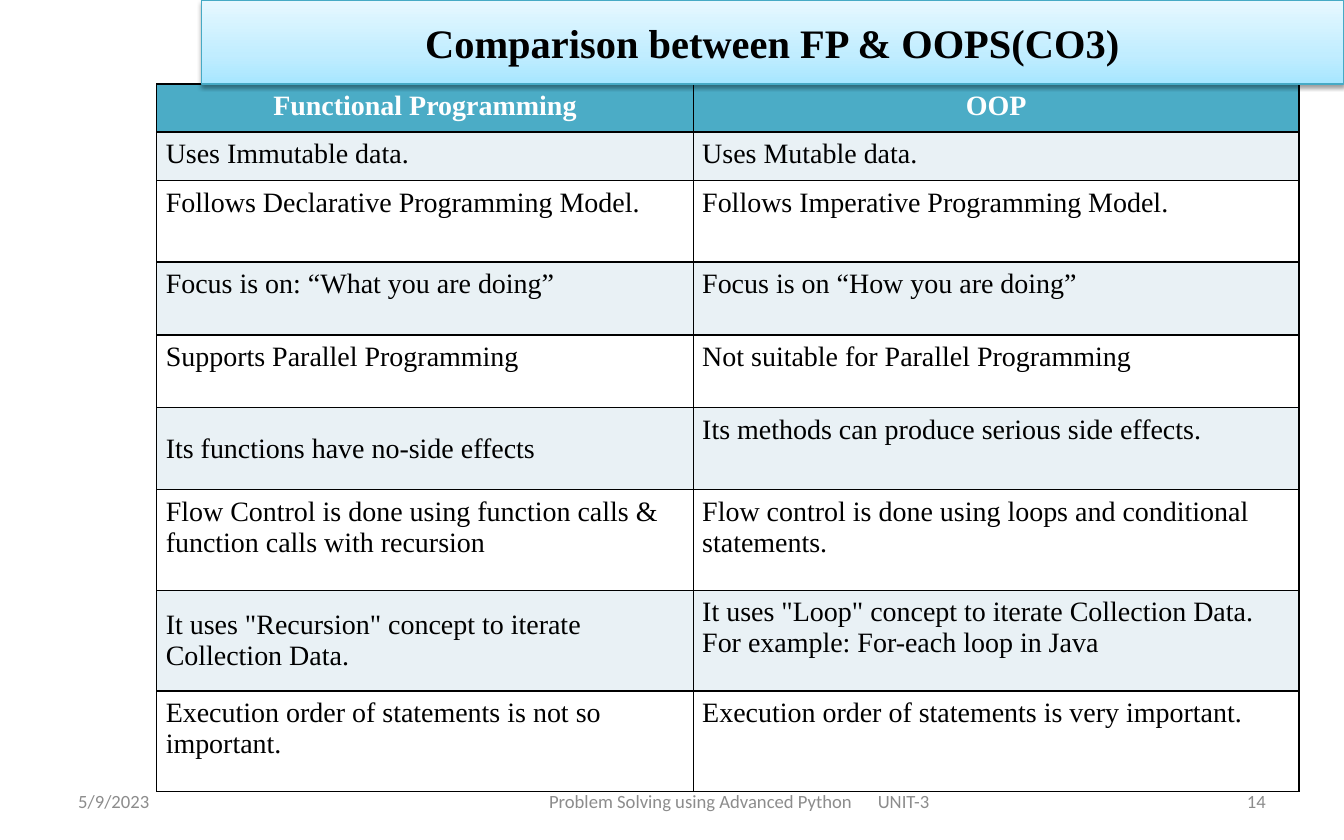
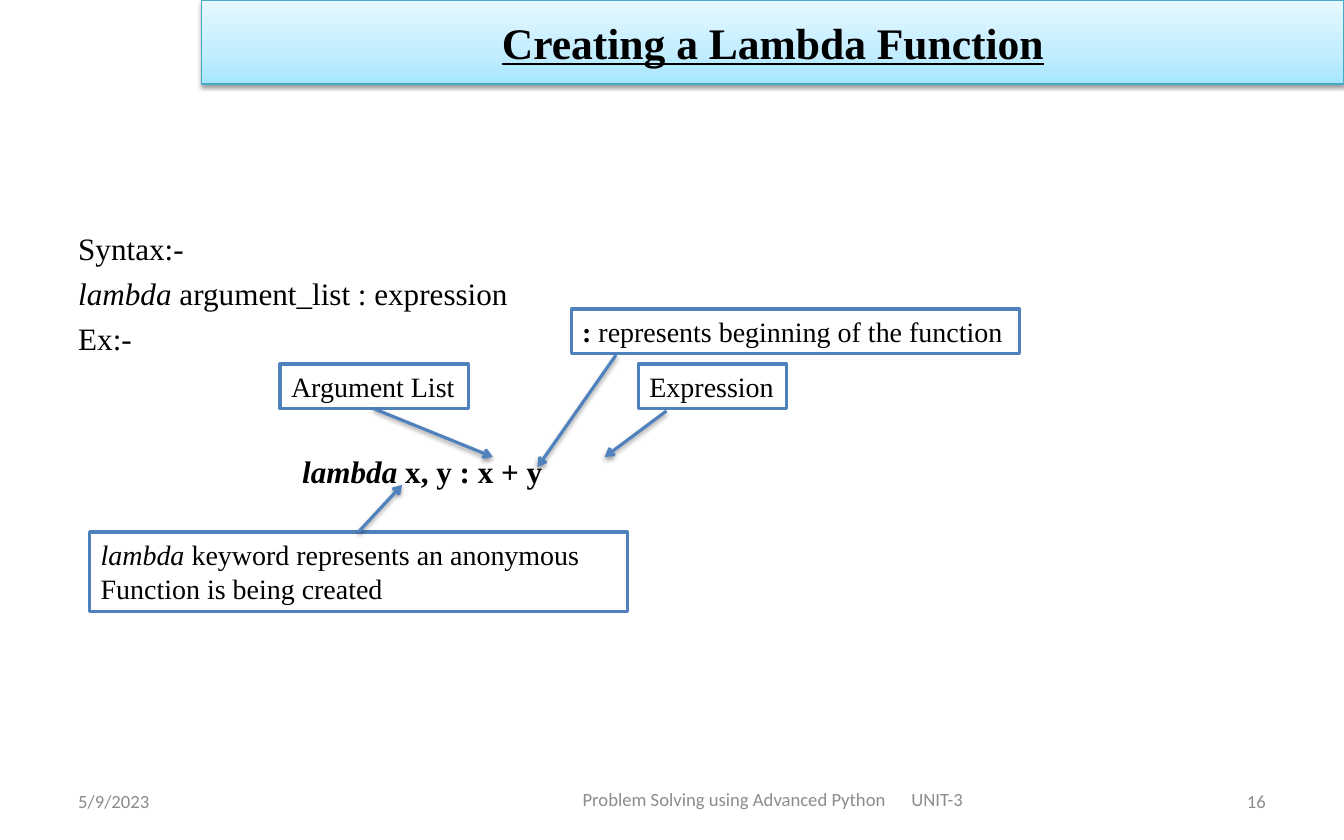
"""Build two slides on functional programming: a comparison table and a lambda diagram."""
from dataclasses import dataclass

from lxml import etree
from pptx import Presentation
from pptx.dml.color import RGBColor
from pptx.enum.shapes import MSO_CONNECTOR, MSO_SHAPE
from pptx.enum.text import MSO_ANCHOR, PP_ALIGN
from pptx.oxml.ns import qn
from pptx.util import Inches, Pt

RECT, STRAIGHT = MSO_SHAPE.RECTANGLE, MSO_CONNECTOR.STRAIGHT
TOP, MIDDLE = MSO_ANCHOR.TOP, MSO_ANCHOR.MIDDLE
LEFT, CENTER, RIGHT = PP_ALIGN.LEFT, PP_ALIGN.CENTER, PP_ALIGN.RIGHT


@dataclass(frozen=True)
class Theme:
    """Colours, fonts and sizes shared by the slides."""
    serif: str = "Times New Roman"
    sans: str = "Calibri"
    ink: str = "000000"
    paper: str = "FFFFFF"
    header: str = "4BACC6"
    stripe: str = "E9F1F5"
    accent: str = "4F81BD"
    muted: str = "8C8C8C"
    band_line: str = "46AAC5"
    band_stops: tuple = ((0, "A7E6FF"), (35, "C1EDFF"), (100, "E7F8FF"))
    body_size: int = 20
    label_size: int = 18
    foot_size: int = 12
    line_gap: int = 5


T = Theme()
WIDTH, HEIGHT = 12, 7.5
MARGIN = 0.05 * WIDTH
BAND = (0.15 * WIDTH, 0, 0.85 * WIDTH, 0.1 * HEIGHT)

DATE = "5/9/2023"
COURSE, UNIT = "Problem Solving using Advanced Python", "UNIT-3"
UNIT_GAP = 13.6

COMPARISON = [
    ("Functional Programming", "OOP"),
    ("Uses Immutable data.", "Uses Mutable data."),
    ("Follows Declarative Programming Model.", "Follows Imperative Programming Model."),
    ("Focus is on: “What you are doing”", "Focus is on “How you are doing”"),
    ("Supports Parallel Programming", "Not suitable for Parallel Programming"),
    ("Its functions have no-side effects", "Its methods can produce serious side effects."),
    ("Flow Control is done using function calls & function calls with recursion",
     "Flow control is done using loops and conditional statements."),
    ('It uses "Recursion" concept to iterate Collection Data.',
     'It uses "Loop" concept to iterate Collection Data. For example: For-each loop in Java'),
    ("Execution order of statements is not so important.",
     "Execution order of statements is very important."),
]
COLUMNS = (4.79, 5.41)
ROWS = (0.43, 0.43, 0.73, 0.65, 0.65, 0.73, 0.9, 0.9, 0.9)
CENTRED_CELLS = {(5, 0), (7, 0)}

SYNTAX = [
    [("Syntax:-", "")],
    [("lambda", "i"), (" argument_list : expression", "")],
    [("Ex:-", "")],
    [("lambda", "bi"), (" x, y : x + y", "b")],
]
EXAMPLE_INDENT, EXAMPLE_GAP = 2, 61

CALLOUTS = [
    {"box": (0.8, 4.75, 4.8, 0.71), "arrow": (3.2, 4.75, 3.59, 4.33), "wrap": True,
     "runs": [("lambda", "i"),
              (" keyword represents an anonymous Function is being created", "")]},
    {"box": (2.5, 3.25, 1.68, 0.4), "arrow": (3.34, 3.65, 4.4, 4.08), "wrap": False,
     "runs": [("Argument List", "")]},
    {"box": (5.1, 2.76, 4, 0.4), "arrow": (5.5, 3.17, 4.8, 4.17), "wrap": False,
     "runs": [(":", "b"), (" represents beginning of the function", "")]},
    {"box": (5.7, 3.25, 1.32, 0.4), "arrow": (5.95, 3.67, 5.4, 4.08), "wrap": False,
     "runs": [("Expression", "")]},
]


def rgb(color):
    return RGBColor.from_string(color)


def inches(lengths):
    return [Inches(v) for v in lengths]


def sub(parent, tag, **attrs):
    return etree.SubElement(parent, qn(tag), {k: str(v) for k, v in attrs.items()})


def solid(parent, color):
    return sub(sub(parent, "a:solidFill"), "a:srgbClr", val=color)


def add_shadow(effects):
    shadow = sub(effects, "a:outerShdw", blurRad=Pt(3.1), dist=Pt(1.6),
                 dir=90 * 60000, rotWithShape=0)
    sub(sub(shadow, "a:srgbClr", val=T.ink), "a:alpha", val=38000)


def write(p, runs, size, font=T.serif, color=T.ink, align=LEFT):
    """Fill a paragraph with (text, style) runs; styles are b, i and u."""
    p.alignment = align
    p.font.name, p.font.size = font, Pt(size)
    p.font.color.rgb = rgb(color)
    for text, style in runs:
        r = p.add_run()
        r.text = text
        r.font.name, r.font.size = font, Pt(size)
        r.font.color.rgb = rgb(color)
        r.font.bold, r.font.italic, r.font.underline = (c in style for c in "biu")


def add_text(slide, box, anchor=MIDDLE):
    tf = slide.shapes.add_textbox(*inches(box)).text_frame
    tf.word_wrap, tf.vertical_anchor = True, anchor
    return tf


def add_rect(slide, box, line, width):
    s = slide.shapes.add_shape(RECT, *inches(box))
    s.shadow.inherit = False
    s.line.color.rgb, s.line.width = rgb(line), Pt(width)
    return s


def add_band(slide, title, style, size):
    s = add_rect(slide, BAND, T.band_line, 0.75)
    s.fill.gradient()
    s.fill.gradient_angle = 90
    props = s.element.spPr
    stops = props.find(".//" + qn("a:gsLst"))
    for stop in list(stops):
        stops.remove(stop)
    for pos, color in T.band_stops:
        sub(sub(stops, "a:gs", pos=pos * 1000), "a:srgbClr", val=color)
    add_shadow(props.find(qn("a:effectLst")))
    s.text_frame.vertical_anchor = MIDDLE
    write(s.text_frame.paragraphs[0], [(title, style)], size, align=CENTER)


def add_footer(slide, number, course_box):
    side, top, height = 2.8, 6.95, 0.4
    parts = [
        ((MARGIN, top, side, height), [(DATE, "")], LEFT),
        (course_box, [(COURSE, ""), (" ", ""), (UNIT, "")], CENTER),
        ((WIDTH - MARGIN - side, top, side, height), [(str(number), "")], RIGHT),
    ]
    for box, runs, align in parts:
        p = add_text(slide, box).paragraphs[0]
        write(p, runs, T.foot_size, T.sans, T.muted, align)
        if len(runs) == 3:
            p.runs[1].font._element.set("spc", str(int(UNIT_GAP * 100)))


def add_comparison(slide):
    box = (1.4, BAND[3], sum(COLUMNS), sum(ROWS))
    table = slide.shapes.add_table(len(ROWS), len(COLUMNS), *inches(box)).table
    for col, width in zip(table.columns, COLUMNS):
        col.width = Inches(width)
    for i, (row, height) in enumerate(zip(table.rows, ROWS)):
        row.height = Inches(height)
        head = i == 0
        fill = T.header if head else T.stripe if i % 2 else T.paper
        for j, cell in enumerate(row.cells):
            cell.margin_left = cell.margin_right = Inches(0.08)
            cell.margin_top = cell.margin_bottom = Inches(0.06)
            cell.vertical_anchor = MIDDLE if (i, j) in CENTRED_CELLS else TOP
            write(cell.text_frame.paragraphs[0], [(COMPARISON[i][j], "b" if head else "")],
                  T.label_size, color=T.paper if head else T.ink,
                  align=CENTER if head else LEFT)
            props = cell._tc.get_or_add_tcPr()
            for edge in ("a:lnL", "a:lnR", "a:lnT", "a:lnB"):
                solid(sub(props, edge, w=Pt(1)), T.ink)
            cell.fill.solid()
            cell.fill.fore_color.rgb = rgb(fill)


def add_syntax(slide):
    tf = add_text(slide, (MARGIN, 2, WIDTH - 2 * MARGIN, 3.92), TOP)
    for i, runs in enumerate(SYNTAX):
        p = tf.paragraphs[0] if i == 0 else tf.add_paragraph()
        write(p, runs, T.body_size)
        p.space_before = Pt(T.line_gap)
    p.space_before = Pt(EXAMPLE_GAP)
    p._p.get_or_add_pPr().set("marL", str(Inches(EXAMPLE_INDENT)))


def add_callout(slide, box, arrow, wrap, runs):
    s = add_rect(slide, box, T.accent, 2)
    s.fill.solid()
    s.fill.fore_color.rgb = rgb(T.paper)
    s.text_frame.word_wrap, s.text_frame.vertical_anchor = wrap, TOP
    write(s.text_frame.paragraphs[0], runs, T.label_size)
    c = slide.shapes.add_connector(STRAIGHT, *inches(arrow))
    c.line.color.rgb, c.line.width = rgb(T.accent), Pt(2)
    sub(c.line._get_or_add_ln(), "a:tailEnd", type="arrow")
    add_shadow(sub(c._element.spPr, "a:effectLst"))


def main():
    prs = Presentation()
    prs.slide_width, prs.slide_height = inches((WIDTH, HEIGHT))
    blank = prs.slide_layouts[6]

    slide = prs.slides.add_slide(blank)
    add_comparison(slide)
    add_footer(slide, 14, (3.3, 6.95, 6.6, 0.4))
    add_band(slide, "Comparison between FP & OOPS(CO3)", "b", 26)

    slide = prs.slides.add_slide(blank)
    add_syntax(slide)
    for callout in CALLOUTS:
        add_callout(slide, **callout)
    add_band(slide, "Creating a Lambda Function", "bu", 28)
    add_footer(slide, 16, (4.1, 6.92, 5.6, 0.43))

    prs.save("out.pptx")


if __name__ == "__main__":
    main()
